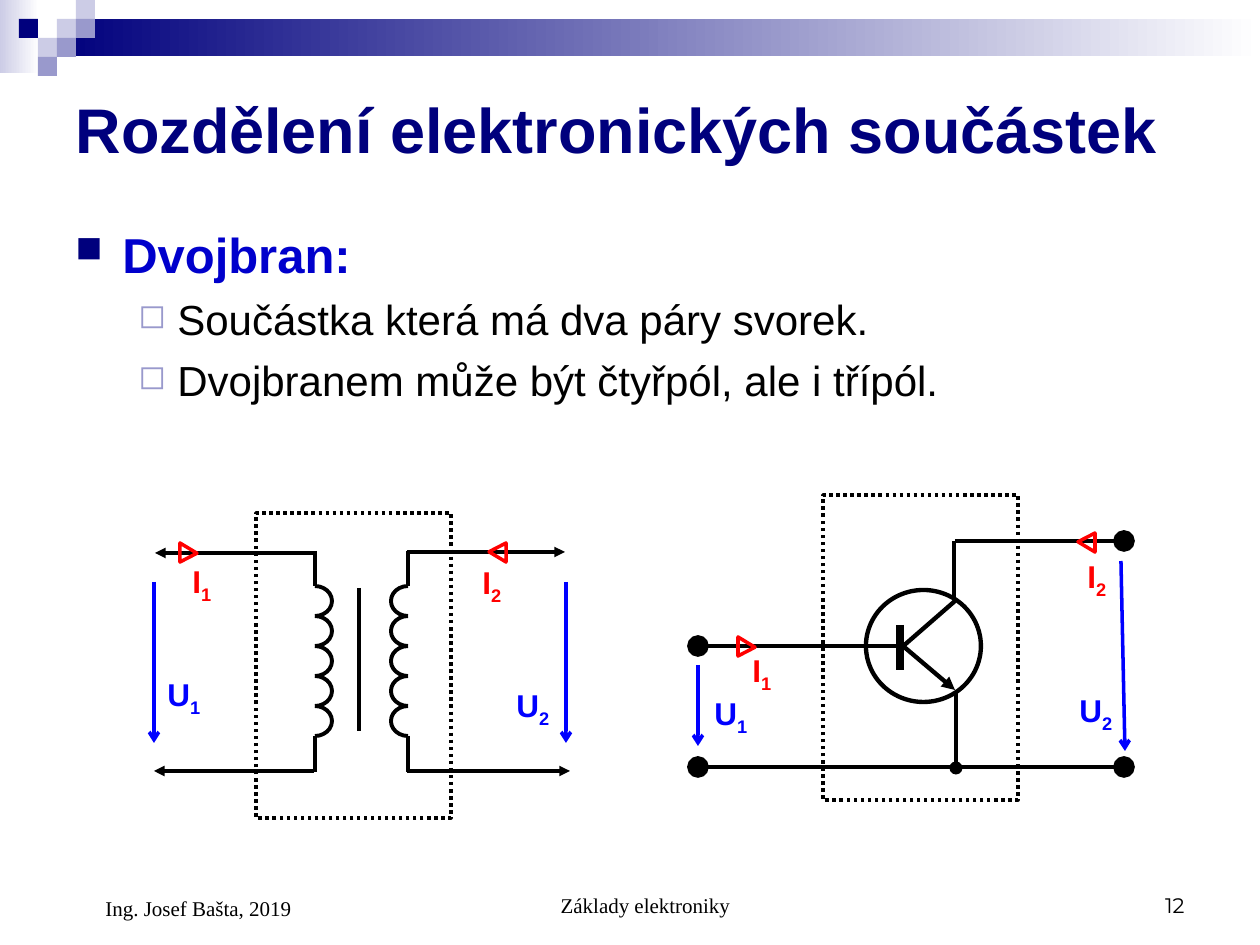
import pptx
import pptx.dml.color
import pptx.enum.dml
import pptx.enum.shapes
import pptx.enum.text
import pptx.oxml.ns
import pptx.util
from lxml import etree

RGB = pptx.dml.color.RGBColor
SHAPE = pptx.enum.shapes.MSO_SHAPE
ALIGN = pptx.enum.text.PP_ALIGN
ANCHOR = pptx.enum.text.MSO_ANCHOR

NAVY = RGB(0x00, 0x00, 0x7D)
LILAC = RGB(0x99, 0x99, 0xCC)
PALE = RGB(0xCC, 0xCC, 0xE6)
WHITE = RGB(0xFF, 0xFF, 0xFF)
BLACK = RGB(0x00, 0x00, 0x00)
HEADING = RGB(0x00, 0x00, 0xCC)
VOLTAGE = RGB(0x00, 0x00, 0xFF)
CURRENT = RGB(0xFF, 0x00, 0x00)

EMU_PER_PX = 914400 / 126


def px(length):
    """Turn pixels into EMU."""
    return pptx.util.Emu(round(length * EMU_PER_PX))


def sub(parent, tag, **attributes):
    """Append a DrawingML element."""
    return etree.SubElement(parent, pptx.oxml.ns.qn(tag), attributes)


def style(run, size, color, font="Arial", bold=False):
    """Format one run."""
    run.font.size = pptx.util.Pt(size)
    run.font.name = font
    run.font.bold = bold
    run.font.color.rgb = color


def add_shape(slide, kind, box, fill=None, line=None, width=2):
    """Add a preset shape, unfilled or unlined unless colours are given."""
    shape = slide.shapes.add_shape(kind, *map(px, box))
    shape.shadow.inherit = False
    if fill is None:
        shape.fill.background()
    else:
        shape.fill.solid()
        shape.fill.fore_color.rgb = fill
    if line is None:
        shape.line.fill.background()
    else:
        shape.line.color.rgb = line
        shape.line.width = pptx.util.Pt(width)
    return shape


def add_wire(slide, origin, x1, y1, x2, y2, color=BLACK, width=2.5,
             head=None, tail=None, size="med"):
    """Draw a line relative to origin, with optional end marks."""
    x, y = origin
    wire = slide.shapes.add_connector(
        pptx.enum.shapes.MSO_CONNECTOR.STRAIGHT,
        px(x + x1), px(y + y1), px(x + x2), px(y + y2))
    wire.line.color.rgb = color
    wire.line.width = pptx.util.Pt(width)
    outline = wire.line._get_or_add_ln()
    for tag, mark in (("a:headEnd", head), ("a:tailEnd", tail)):
        if mark:
            sub(outline, tag, type=mark, w=size, len=size)
    sub(wire._element.spPr, "a:effectLst")


def add_label(slide, origin, x, y, symbol, index):
    """Write a voltage or current symbol with its subscript."""
    frame = slide.shapes.add_textbox(
        px(origin[0] + x), px(origin[1] + y), px(67), px(55)).text_frame
    frame.word_wrap = True
    color = VOLTAGE if symbol == "U" else CURRENT
    for text in (symbol, index):
        run = frame.paragraphs[0].add_run()
        run.text = text
        style(run, 18, color, bold=True)
    run._r.get_or_add_rPr().set("baseline", "-25000")


def add_current_mark(slide, origin, x, y, rotation):
    """Draw the triangle that shows the direction of a current."""
    mark = add_shape(slide, SHAPE.ISOSCELES_TRIANGLE,
                     (origin[0] + x, origin[1] + y, 19, 17), line=CURRENT)
    mark.adjustments[0] = 0.54
    mark.rotation = rotation


def add_boundary(slide, origin, x):
    """Draw the dotted outline of a two-port."""
    boundary = add_shape(slide, SHAPE.RECTANGLE,
                         (origin[0] + x, origin[1], 195, 305), line=BLACK)
    boundary.line.dash_style = pptx.enum.dml.MSO_LINE.ROUND_DOT


def add_banner(slide, left, top):
    """Draw the gradient bars and the small squares at the top."""
    for box, start, end in (((0, 0, 39, 73), PALE, WHITE),
                            ((57, 19, 1203, 37), NAVY, WHITE)):
        bar = add_shape(slide, SHAPE.RECTANGLE,
                        (left + box[0], top + box[1], *box[2:]))
        bar.fill.gradient()
        bar.fill.gradient_angle = 0
        for stop, color in zip(bar.fill.gradient_stops, (start, end)):
            stop.color.rgb = color
    for column, row, color in ((3, 1, PALE), (4, 0, PALE), (4, 1, LILAC),
                               (2, 2, PALE), (1, 1, NAVY), (3, 2, LILAC),
                               (2, 3, LILAC)):
        add_shape(slide, SHAPE.RECTANGLE,
                  (left + 19 * column, top + 19 * row, 19, 19), fill=color)


def add_title(slide, box):
    """Place and format the title."""
    title = slide.shapes.title
    title.left, title.top, title.width, title.height = map(px, box)
    frame = title.text_frame
    frame.text = "Rozdělení elektronických součástek"
    frame.auto_size = pptx.enum.text.MSO_AUTO_SIZE.NONE
    frame.vertical_anchor = ANCHOR.MIDDLE
    frame.paragraphs[0].alignment = ALIGN.LEFT
    style(frame.paragraphs[0].runs[0], 36, NAVY, bold=True)


def add_definition(slide, box):
    """Write the bulleted definition of the two-port."""
    frame = slide.shapes.add_textbox(*map(px, box)).text_frame
    frame.word_wrap = True
    frame.text = ("Dvojbran:\nSoučástka která má dva páry svorek.\n"
                  "Dvojbranem může být čtyřpól, ale i třípól.")
    term = (28, HEADING, True, 7, 47, 47, "■", NAVY, 75)
    detail = (24, BLACK, False, 6, 102, 39, "◻", LILAC, 80)
    for paragraph, level in zip(frame.paragraphs, (term, detail, detail)):
        size, color, bold, before, margin, hang, bullet, tint, scale = level
        style(paragraph.runs[0], size, color, bold=bold)
        paragraph.space_before = pptx.util.Pt(before)
        properties = paragraph._p.get_or_add_pPr()
        properties.set("marL", str(px(margin)))
        properties.set("indent", str(-px(hang)))
        sub(sub(properties, "a:buClr"), "a:srgbClr", val=str(tint))
        sub(properties, "a:buSzPct", val=str(scale * 1000))
        sub(properties, "a:buChar", char=bullet)


def add_transformer(slide, origin):
    """Draw the transformer as a four-terminal two-port."""
    x, y = origin
    coil_top, turn, turns = 73, 30, 5
    coil_bottom = coil_top + turn * turns
    for center, start, end in ((162, 162, 54), (255, 54, 162)):
        for index in range(turns):
            arc = add_shape(slide, SHAPE.ARC,
                            (x + center - 17, y + coil_top + turn * index, 34, turn),
                            line=BLACK, width=2.25)
            arc.adjustments[0], arc.adjustments[1] = start, end
        add_wire(slide, origin, center, 38, center, coil_top, width=2.25)
        add_wire(slide, origin, center, coil_bottom, center, 259, width=2.25)
    for x1, x2, level in ((161, 2, 40), (161, 1, 258), (254, 417, 258), (254, 412, 39)):
        add_wire(slide, origin, x1, level, x2, level, width=2, tail="triangle")
    add_wire(slide, origin, 206, 75, 206, 218, width=2.25)
    for column in (1, 413):
        add_wire(slide, origin, column, 69, column, 230, VOLTAGE, 2, tail="arrow")
    for label in ((2, 156, "U", "1"), (351, 167, "U", "2"),
                  (27, 43, "I", "1"), (317, 44, "I", "2")):
        add_label(slide, origin, *label)
    add_current_mark(slide, origin, 26, 31, 90)
    add_current_mark(slide, origin, 335, 31, 270)
    add_boundary(slide, origin, 103)


def add_transistor(slide, origin):
    """Draw the transistor as a three-terminal two-port."""
    x, y = origin
    add_wire(slide, origin, 0, 272, 426, 272, head="oval", tail="oval", size="lg")
    add_wire(slide, origin, 257, 46, 426, 46, tail="oval", size="lg")
    add_wire(slide, origin, 0, 151, 199, 151, head="oval", size="lg")
    add_wire(slide, origin, 258, 273, 258, 197, head="oval")
    add_wire(slide, origin, 256, 104, 256, 46)
    add_shape(slide, SHAPE.OVAL, (x + 168, y + 95, 115, 112), line=BLACK, width=2.5)
    add_wire(slide, origin, 202, 130, 202, 175, width=5)
    add_wire(slide, origin, 203, 153, 257, 106)
    add_wire(slide, origin, 205, 151, 257, 195, tail="triangle")
    add_wire(slide, origin, 0, 170, 0, 251, VOLTAGE, 2, tail="arrow")
    add_wire(slide, origin, 423, 66, 427, 256, VOLTAGE, 2, tail="arrow")
    for label in ((4, 193, "U", "1"), (369, 190, "U", "2"),
                  (42, 150, "I", "1"), (377, 56, "I", "2")):
        add_label(slide, origin, *label)
    add_current_mark(slide, origin, 39, 143, 90)
    add_current_mark(slide, origin, 379, 39, 270)
    add_boundary(slide, origin, 125)


def add_footer(slide, left, top):
    """Write the author, the course and the page number."""
    for x, width, height, text, alignment, font, margin in (
            (0, 294, 66, "Ing. Josef Bašta, 2019", ALIGN.LEFT, "Times New Roman", 30),
            (368, 399, 63, "Základy elektroniky", ALIGN.CENTER, "Times New Roman", 30),
            (840, 294, 63, "12", ALIGN.RIGHT, "Montserrat", 0)):
        frame = slide.shapes.add_textbox(
            px(left + x), px(top), px(width), px(height)).text_frame
        frame.word_wrap = True
        frame.vertical_anchor = ANCHOR.BOTTOM
        frame.text = text
        paragraph = frame.paragraphs[0]
        paragraph.alignment = alignment
        paragraph._p.get_or_add_pPr().set("marL", str(px(margin)))
        style(paragraph.runs[0], 12, BLACK, font)


presentation = pptx.Presentation()
presentation.slide_width, presentation.slide_height = px(1260), px(945)
slide = presentation.slides.add_slide(presentation.slide_layouts[5])
add_banner(slide, 0, 0)
add_title(slide, (63, 63, 1134, 130))
add_definition(slide, (63, 218, 1134, 615))
add_transistor(slide, (698, 495))
add_transformer(slide, (153, 513))
add_footer(slide, 63, 861)
presentation.save("out.pptx")
